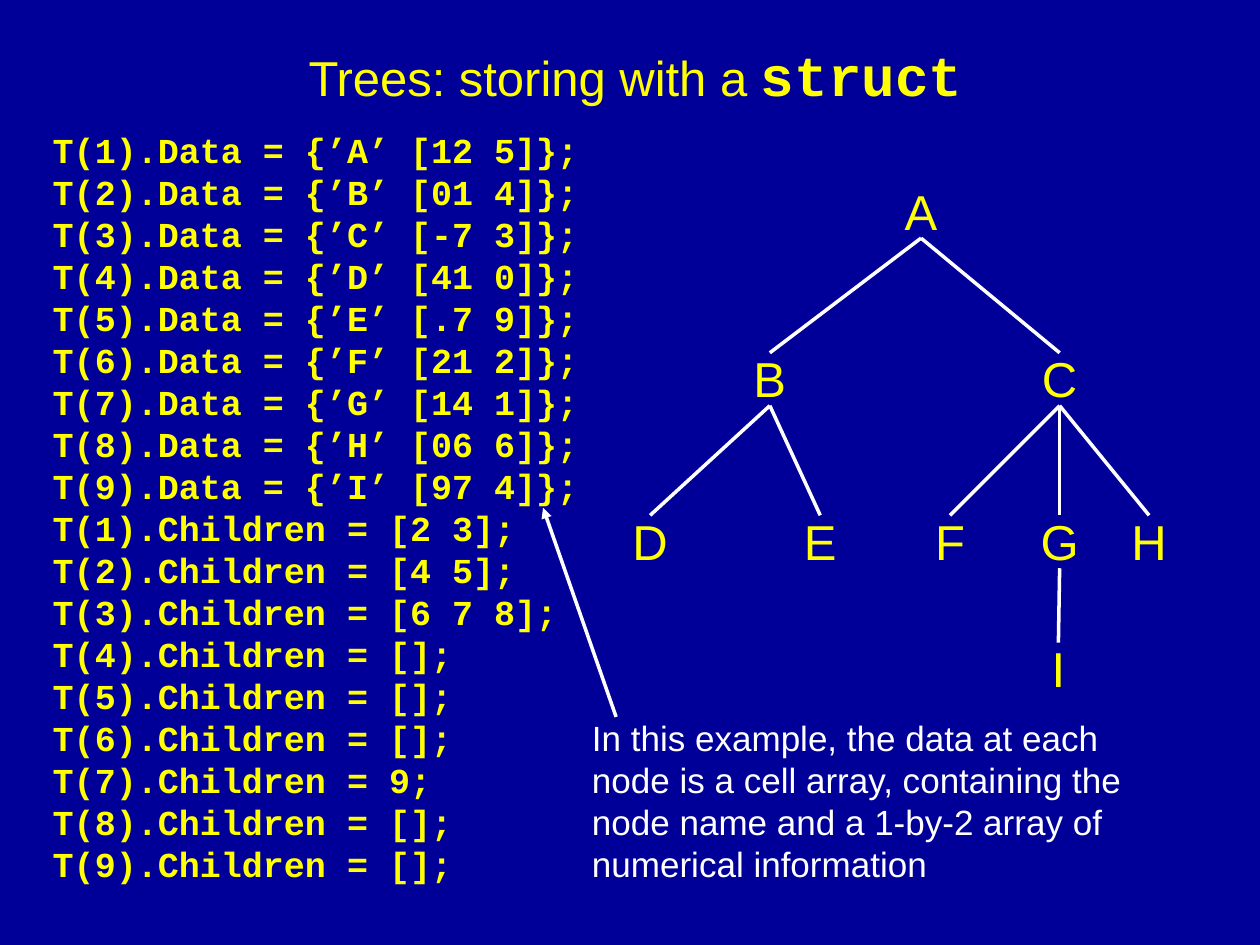
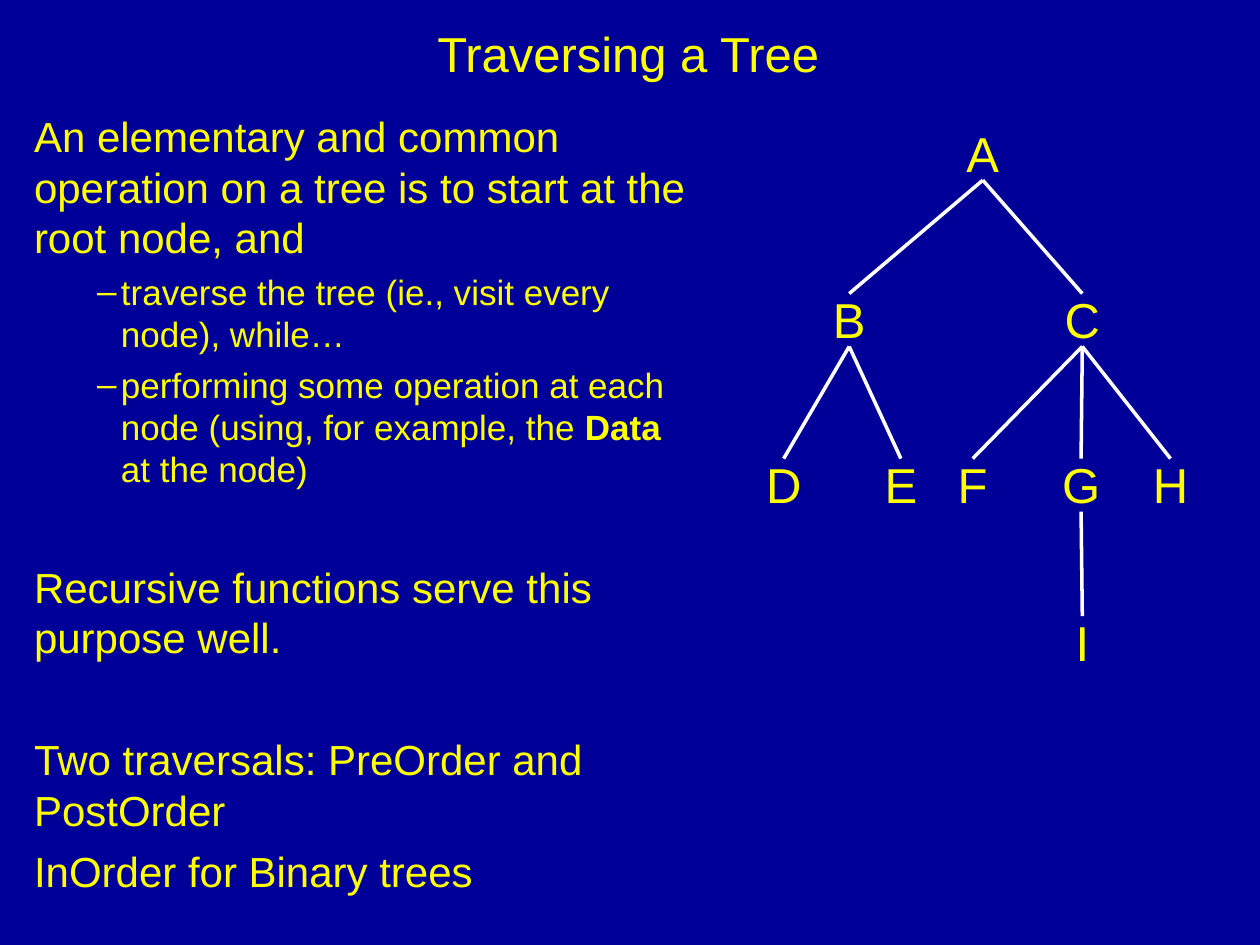
from lxml import etree
from pptx import Presentation
from pptx import util as u
from pptx.dml.color import RGBColor
from pptx.enum import shapes, text
from pptx.oxml import ns

NAVY = RGBColor(0x00, 0x00, 0x99)
YELLOW = RGBColor(0xFF, 0xFF, 0x00)
WHITE = RGBColor(0xFF, 0xFF, 0xFF)
SANS, MONO = "Arial", "Courier New"
COLUMN = ROW = u.Inches(0.1)
NODE_WIDTH, NODE_HEIGHT = 5, 5.7
EDGE_START, EDGE_END = 5, 0.8
CHILDREN = {"A": "BC", "B": "DE", "C": "FGH", "G": "I"}
NODE_DATA = {"A": "12 5", "B": "01 4", "C": "-7 3", "D": "41 0", "E": ".7 9",
             "F": "21 2", "G": "14 1", "H": "06 6", "I": "97 4"}
CHILD_LISTS = ["[2 3]", "[4 5]", "[6 7 8]", "[]", "[]", "[]", "9", "[]", "[]"]


def grid(*cells):
    """Turn column and row counts, given alternately, into lengths."""
    return [round(cell * (ROW if index % 2 else COLUMN)) for index, cell in enumerate(cells)]


def add_child(parent, tag, **attributes):
    """Append a drawing element with its attributes."""
    return etree.SubElement(parent, ns.qn(tag), attributes)


def write(paragraph, *runs, size=28, color=YELLOW, font=SANS, bold=False,
          align=text.PP_ALIGN.LEFT, before=0, leading=1.2):
    """Fill a paragraph with runs; a run is text or a pair of text and changes."""
    paragraph.alignment = align
    paragraph.space_before = u.Pt(before)
    if leading:
        paragraph.line_spacing = u.Pt(size * leading)
    for item in runs:
        words, changes = (item, {}) if isinstance(item, str) else item
        run = paragraph.add_run()
        run.text = words
        run.font.size = u.Pt(changes.get("size", size))
        run.font.name = changes.get("font", font)
        run.font.bold = changes.get("bold", bold)
        run.font.color.rgb = color


def add_box(slide, box, lines, wrap=True, **style):
    """Add a text box holding one paragraph for each line."""
    frame = slide.shapes.add_textbox(*grid(*box)).text_frame
    frame.word_wrap = wrap
    for index, line in enumerate(lines):
        write(frame.add_paragraph() if index else frame.paragraphs[0], line, **style)


def add_line(slide, start, end, arrow=False):
    """Draw a white line between two grid points."""
    line = slide.shapes.add_connector(
        shapes.MSO_CONNECTOR.STRAIGHT, *grid(*start), *grid(*end))
    line.line.color.rgb = WHITE
    line.line.width = u.Pt(2)
    if arrow:
        add_child(line.line._get_or_add_ln(), "a:tailEnd", type="triangle")
    add_child(line._element.spPr, "a:effectLst")


def add_title(slide, box, *runs):
    """Place the title placeholder and write its runs."""
    title = slide.shapes.title
    title.left, title.top, title.width, title.height = grid(*box)
    frame = title.text_frame
    frame.margin_left = frame.margin_right = frame.margin_top = frame.margin_bottom = 0
    frame.vertical_anchor = text.MSO_ANCHOR.MIDDLE
    write(frame.paragraphs[0], *runs, align=text.PP_ALIGN.CENTER, leading=None)


def add_tree(slide, origin, centers, levels):
    """Draw the tree from node centers and level tops relative to its origin."""
    left, top = origin
    depths = {"A": 0}
    for parent, children in CHILDREN.items():
        depths.update(dict.fromkeys(children, depths[parent] + 1))
    points = {name: (left + center, top + levels[depths[name]])
              for name, center in centers.items()}
    for name, (x, y) in points.items():
        add_box(slide, (x - NODE_WIDTH / 2, y, NODE_WIDTH, NODE_HEIGHT), [name],
                wrap=False, align=text.PP_ALIGN.CENTER)
        for child in CHILDREN.get(name, ""):
            child_x, child_y = points[child]
            add_line(slide, (x, y + EDGE_START), (child_x, child_y + EDGE_END))


def set_bullet(paragraph, bullet=None):
    """Give a paragraph a hanging bullet, or neither bullet nor indent."""
    properties = paragraph._p.get_or_add_pPr()
    left, hang = (u.Inches(0.69), u.Inches(-0.19)) if bullet else (0, 0)
    properties.set("marL", str(left))
    properties.set("indent", str(hang))
    if bullet:
        color = add_child(properties, "a:buClr")
        add_child(color, "a:srgbClr", val=str(YELLOW))
        add_child(properties, "a:buChar", char=bullet)
    else:
        add_child(properties, "a:buNone")


def add_outline(slide, box, items):
    """Fill the body placeholder from level, space before and runs."""
    body = slide.placeholders[1]
    body.left, body.top, body.width, body.height = grid(*box)
    frame = body.text_frame
    frame.auto_size = text.MSO_AUTO_SIZE.NONE
    for index, (level, before, *runs) in enumerate(items):
        paragraph = frame.add_paragraph() if index else frame.paragraphs[0]
        paragraph.level = level
        set_bullet(paragraph, "–" if level else None)
        write(paragraph, *runs, size=20 if level else 24, before=before)


def build_storage_slide(presentation):
    """Show the struct code beside the tree it stores."""
    slide = presentation.slides.add_slide(presentation.slide_layouts[5])
    add_title(slide, (14.4, 2.3, 72.1, 7.2), "Trees: storing with a ",
              ("struct", {"size": 32, "font": MONO, "bold": True}))
    add_tree(slide, (49, 13.9),
             {"A": 24.1, "B": 12.1, "C": 35.1, "D": 2.6, "E": 16.1,
              "F": 26.4, "G": 35.1, "H": 42.2, "I": 35},
             (0, 13.3, 26.2, 36.3))
    code = [f"T({i}).Data = {{’{name}’ [{values}]}};"
            for i, (name, values) in enumerate(NODE_DATA.items(), 1)]
    code += [f"T({i}).Children = {children};" for i, children in enumerate(CHILD_LISTS, 1)]
    add_box(slide, (3.2, 9.7, 45.5, 61.1), code, size=20, font=MONO, bold=True)
    add_box(slide, (46, 56.4, 44.3, 14.4),
            ["In this example, the data at each node is a cell array, containing the "
             "node name and a 1-by-2 array of numerical information"],
            size=20, color=WHITE)
    add_line(slide, (48.9, 56.9), (43.1, 40.3), arrow=True)


def build_traversal_slide(presentation):
    """Explain tree traversal beside the tree."""
    slide = presentation.slides.add_slide(presentation.slide_layouts[1])
    add_title(slide, (13.8, 1.7, 72.1, 5), "Traversing a Tree")
    add_outline(slide, (1.7, 8.3, 53.7, 64.2), [
        (0, 0, "An elementary and common operation on a tree is to start at the root node, and"),
        (1, 5, "traverse the tree (ie., visit every node), while…"),
        (1, 5, "performing some operation at each node (using, for example, the ",
         ("Data", {"bold": True}), " at the node)"),
        (0, 41, "Recursive functions serve this purpose well."),
        (0, 41, "Two traversals: PreOrder and PostOrder"),
        (0, 6, "InOrder for Binary trees"),
    ])
    add_tree(slide, (59.8, 9.3),
             {"A": 18.2, "B": 7.6, "C": 26.1, "D": 2.4, "E": 11.7,
              "F": 17.4, "G": 26, "H": 33.1, "I": 26.1},
             (0, 13.2, 26.3, 38.8))


def main():
    """Build both slides and save them."""
    presentation = Presentation()
    presentation.slide_width, presentation.slide_height = u.Inches(10), u.Inches(7.5)
    fill = presentation.slide_master.background.fill
    fill.solid()
    fill.fore_color.rgb = NAVY
    build_storage_slide(presentation)
    build_traversal_slide(presentation)
    presentation.save("out.pptx")


if __name__ == "__main__":
    main()
